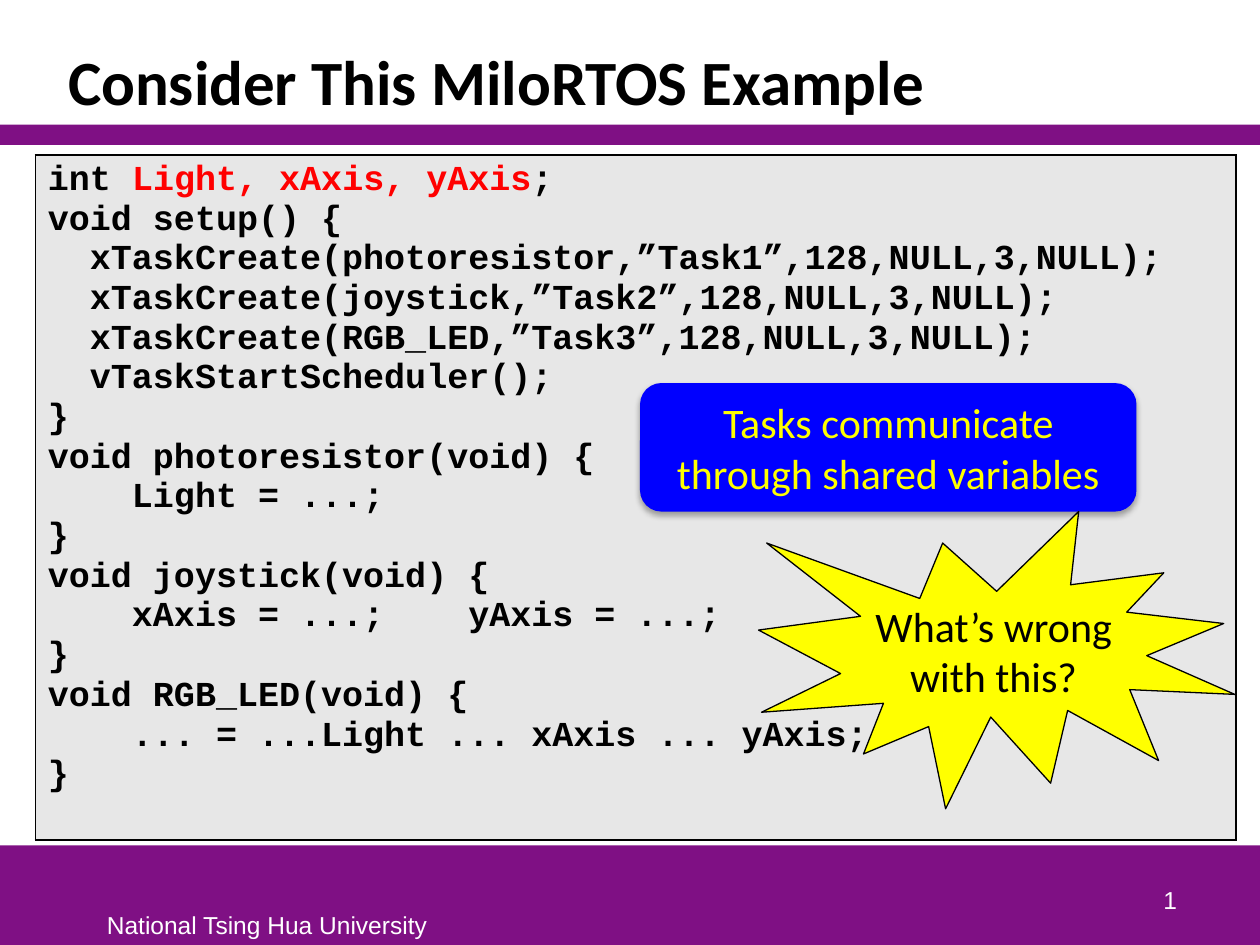
from lxml.etree import SubElement
from pptx import Presentation
from pptx.dml.color import RGBColor
from pptx.enum.shapes import MSO_SHAPE
from pptx.enum.text import MSO_ANCHOR, PP_ALIGN
from pptx.oxml import parse_xml
from pptx.oxml.ns import nsdecls, qn
from pptx.util import Inches, Pt

PURPLE = RGBColor(0x7F, 0x10, 0x84)
GRAY = RGBColor(0xE7, 0xE7, 0xE7)
BLUE = RGBColor(0x00, 0x00, 0xFF)
YELLOW = RGBColor(0xFF, 0xFF, 0x00)
RED = RGBColor(0xFF, 0x00, 0x00)
BLACK = RGBColor(0x00, 0x00, 0x00)
WHITE = RGBColor(0xFF, 0xFF, 0xFF)

# Grid of one-inch cells
COLS, ROWS, CELL = 10, 7.5, Inches(1)

TITLE_FONT = dict(name="Calibri", size=Pt(36), bold=True)
CALLOUT_FONT = dict(name="Calibri", size=Pt(24))
CODE_FONT = dict(name="Courier New", size=Pt(20), bold=True)
FOOTER_FONT = dict(name="Arial", size=Pt(14))

SHARED = "Light, xAxis, yAxis"
CODE = """int Light, xAxis, yAxis;
void setup() {
  xTaskCreate(photoresistor,”Task1”,128,NULL,3,NULL);
  xTaskCreate(joystick,”Task2”,128,NULL,3,NULL);
  xTaskCreate(RGB_LED,”Task3”,128,NULL,3,NULL);
  vTaskStartScheduler();
}
void photoresistor(void) {
    Light = ...;
}
void joystick(void) {
    xAxis = ...;    yAxis = ...;
}
void RGB_LED(void) {
    ... = ...Light ... xAxis ... yAxis;
}"""


def place(box):
    """Turn (column, row, columns, rows) into slide lengths."""
    return [int(n * CELL) for n in box]


def add_run(p, text, font, color):
    r = p.add_run()
    r.text = text
    for name, value in font.items():
        setattr(r.font, name, value)
    r.font.color.rgb = color


def add_panel(s, kind, box, fill, line=None):
    sp = s.shapes.add_shape(kind, *place(box))
    sp.shadow.inherit = False
    sp.fill.solid()
    sp.fill.fore_color.rgb = fill
    if line is None:
        sp.line.fill.background()
    else:
        sp.line.color.rgb = line
        sp.line.width = Pt(0.75)
    return sp


def add_title(s, box, text):
    sp = s.shapes.title
    sp.left, sp.top, sp.width, sp.height = place(box)
    tf = sp.text_frame
    tf.vertical_anchor = MSO_ANCHOR.BOTTOM
    p = tf.paragraphs[0]
    p.alignment = PP_ALIGN.LEFT
    p.line_spacing = 0.85
    add_run(p, text, TITLE_FONT, BLACK)


def add_label(s, box, text, **frame):
    tf = s.shapes.add_textbox(*place(box)).text_frame
    for name, value in frame.items():
        setattr(tf, name, value)
    p = tf.paragraphs[0]
    add_run(p, text, FOOTER_FONT, WHITE)
    return p


def add_footer(s, box):
    left, top, width, height = box
    add_panel(s, MSO_SHAPE.RECTANGLE, box, PURPLE)
    add_label(s, (left + 0.75, top + 0.46, 2.76, 0.33),
              "National Tsing Hua University", word_wrap=False)
    number = add_label(s, (left + width - 2.64, top + 0.1, 2.08, 0.5), "1",
                       word_wrap=True, vertical_anchor=MSO_ANCHOR.BOTTOM)
    number.alignment = PP_ALIGN.RIGHT


def add_code(s, box, row_height):
    frame = s.shapes.add_table(1, 1, *place(box))
    # The row grows with its text; the frame keeps the full height
    frame.table.rows[0].height = int(row_height * CELL)
    frame.height = int(box[3] * CELL)
    cell = frame.table.cell(0, 0)
    cell.fill.solid()
    cell.fill.fore_color.rgb = GRAY
    # Cell borders stand before the fill
    for i, side in enumerate(("lnL", "lnR", "lnT", "lnB")):
        cell._tc.get_or_add_tcPr().insert(i, parse_xml(
            f'<a:{side} {nsdecls("a")} w="{Pt(1)}"><a:solidFill>'
            f'<a:srgbClr val="{BLACK}"/></a:solidFill></a:{side}>'))
    tf = cell.text_frame
    for i, line in enumerate(CODE.split("\n")):
        p = tf.add_paragraph() if i else tf.paragraphs[0]
        before, shared, after = line.partition(SHARED)
        for text, color in ((before, BLACK), (shared, RED), (after, BLACK)):
            if text:
                add_run(p, text, CODE_FONT, color)


def add_callout(s, kind, box, text, fill, color, line=None, margins=(0.1, 0.05)):
    sp = add_panel(s, kind, box, fill, line)
    tf = sp.text_frame
    tf.word_wrap = True
    tf.vertical_anchor = MSO_ANCHOR.MIDDLE
    tf.margin_left = tf.margin_right = Inches(margins[0])
    tf.margin_top = tf.margin_bottom = Inches(margins[1])
    p = tf.paragraphs[0]
    p.alignment = PP_ALIGN.CENTER
    add_run(p, text, CALLOUT_FONT, color)
    return sp


def add_shadow(sp):
    effects = sp._element.spPr.find(qn("a:effectLst"))
    shadow = SubElement(effects, qn("a:outerShdw"), blurRad=str(Pt(3.5)),
                        dist=str(Pt(2.2)), dir="5400000", rotWithShape="0")
    color = SubElement(shadow, qn("a:srgbClr"), val=str(BLACK))
    SubElement(color, qn("a:alpha"), val="32000")


def main():
    prs = Presentation()
    prs.slide_width, prs.slide_height = int(COLS * CELL), int(ROWS * CELL)
    s = prs.slides.add_slide(prs.slide_layouts[5])

    # Title and the rule below it
    add_title(s, (0.44, 0.25, 9.12, 0.74), "Consider This MiloRTOS Example")
    add_panel(s, MSO_SHAPE.RECTANGLE, (0, 0.99, COLS, 0.16), PURPLE)

    # Footer band
    add_footer(s, (0, 6.71, COLS, 0.79))

    # Code listing
    add_code(s, (0.28, 1.23, 9.53, 5.43), row_height=4.25)

    # Callouts over the code
    note = add_callout(s, MSO_SHAPE.ROUNDED_RECTANGLE, (5.08, 3.04, 3.94, 1.02),
                       "Tasks communicate through shared variables", BLUE, YELLOW)
    add_shadow(note)
    add_callout(s, MSO_SHAPE.EXPLOSION1, (6.02, 4.06, 3.78, 2.36),
                "What’s wrong with this?", YELLOW, BLACK, line=BLACK,
                margins=(0.04, 0.04))

    prs.save("out.pptx")


if __name__ == "__main__":
    main()
